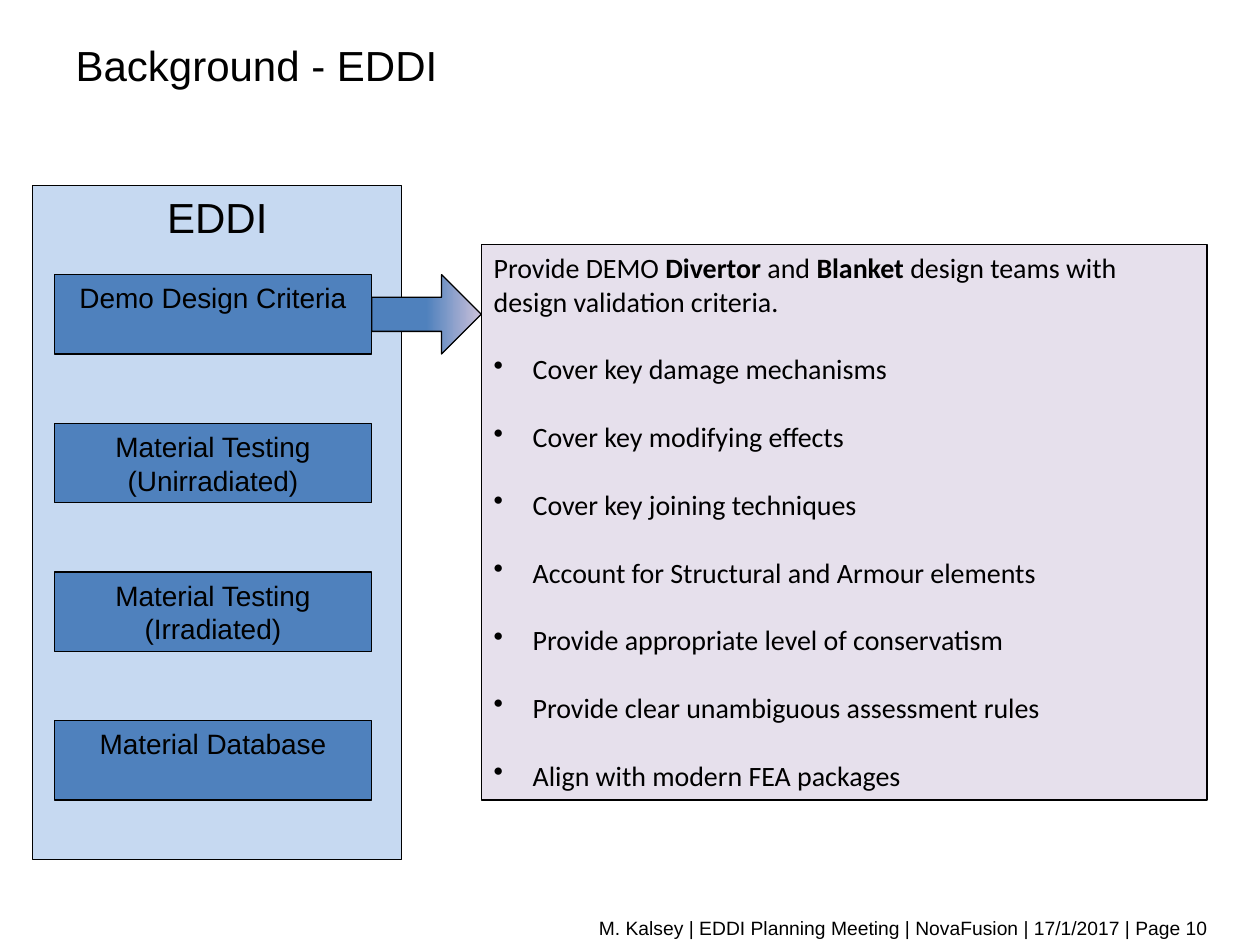
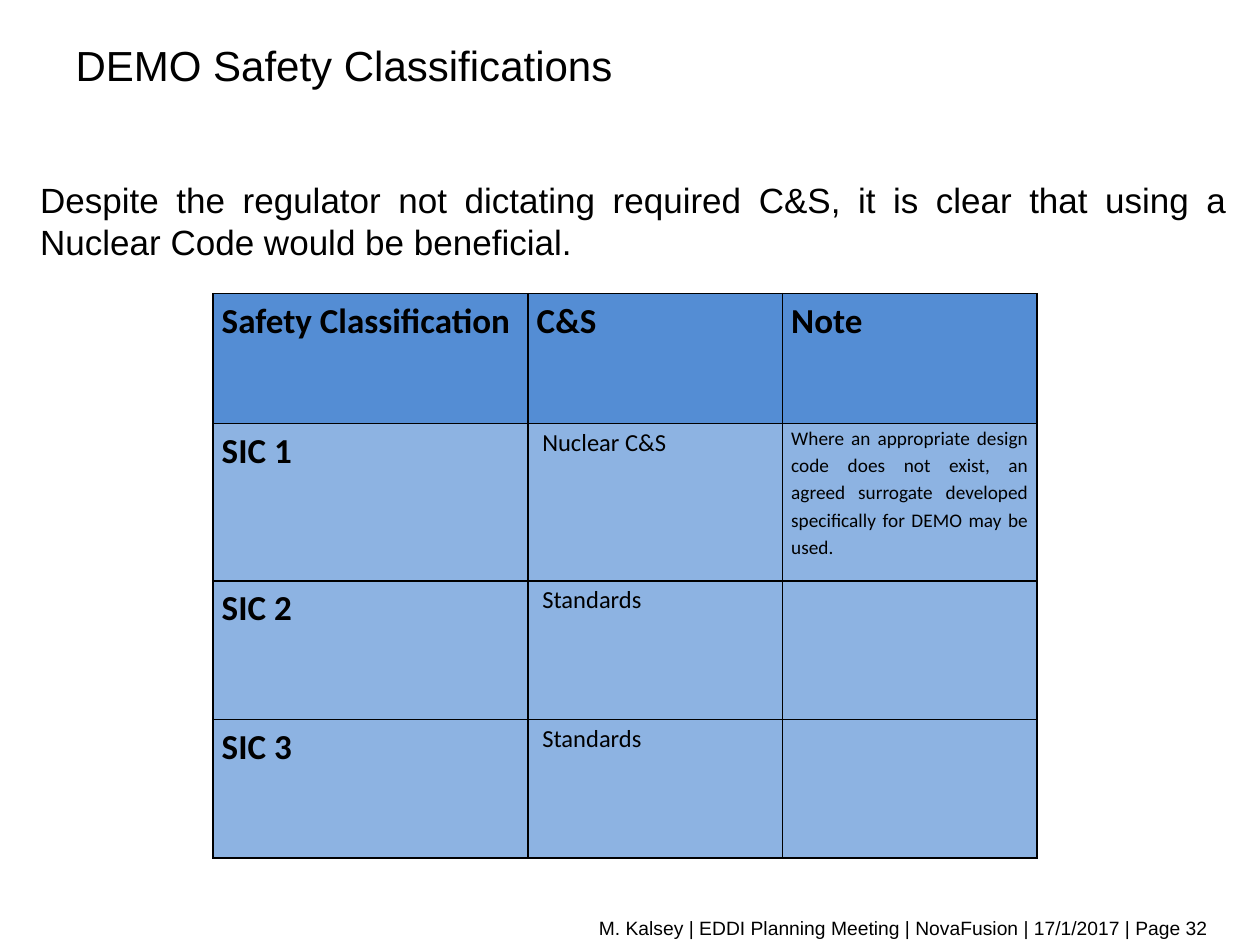
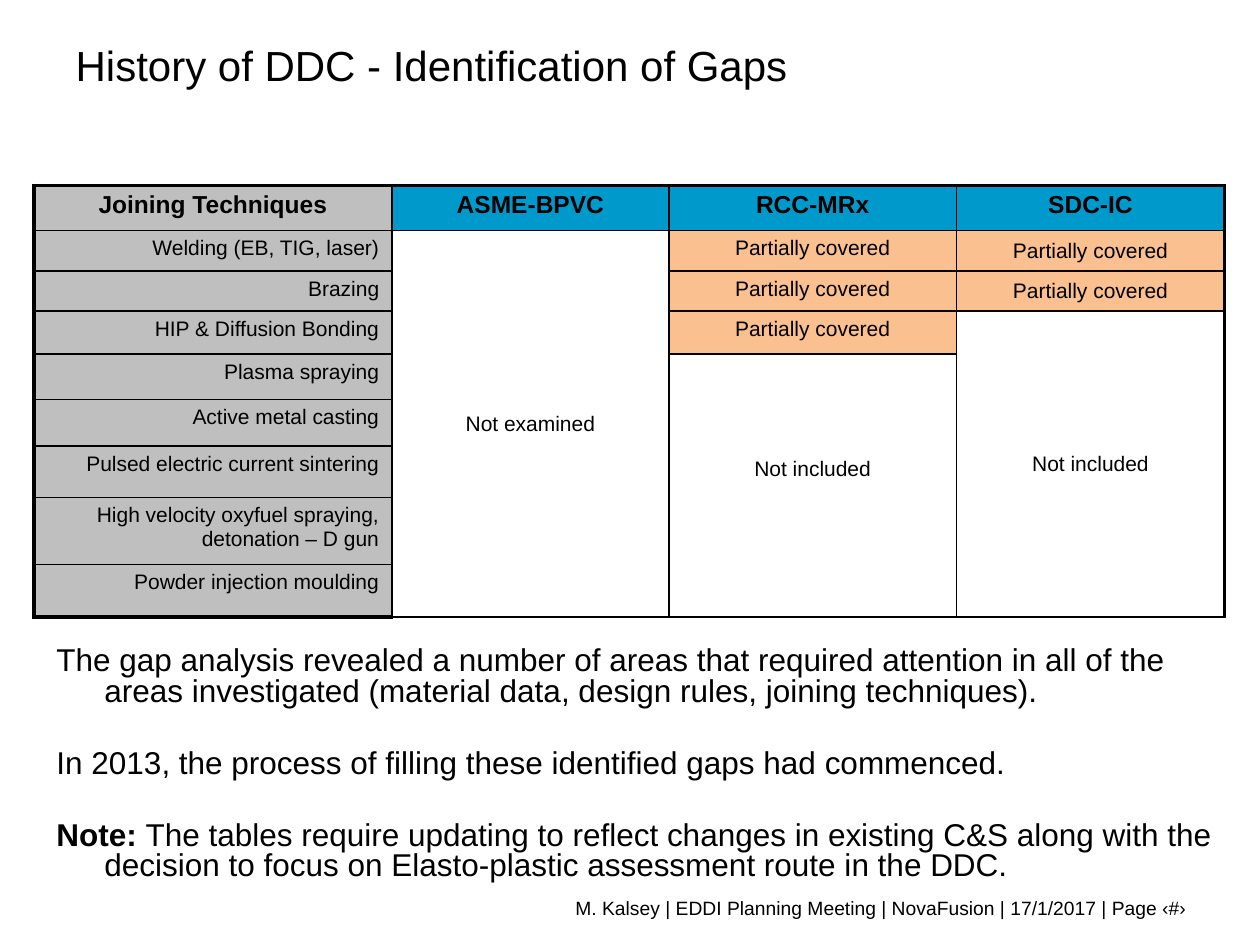
from lxml import etree
from pptx import Presentation
from pptx.dml.color import RGBColor
from pptx.enum.shapes import MSO_SHAPE
from pptx.enum.text import MSO_ANCHOR, MSO_AUTO_SIZE, PP_ALIGN
from pptx.oxml.ns import qn
from pptx.util import Inches, Pt

LEFT, CENTER, RIGHT, JUSTIFY = PP_ALIGN.LEFT, PP_ALIGN.CENTER, PP_ALIGN.RIGHT, PP_ALIGN.JUSTIFY
TOP, MIDDLE = MSO_ANCHOR.TOP, MSO_ANCHOR.MIDDLE
RECT, ARROW = MSO_SHAPE.RECTANGLE, MSO_SHAPE.RIGHT_ARROW
NO_AUTOFIT = MSO_AUTO_SIZE.NONE

BLACK = "000000"
PALE_BLUE, BLUE, LILAC, LAVENDER = "C6D9F1", "4F81BD", "E6E0EC", "CCC1DA"
HEAD_BLUE, ROW_BLUE = "548DD4", "8DB3E2"
GREY, TEAL, PEACH = "BFBFBF", "0099CC", "FAC090"
FOOTER = "M. Kalsey | EDDI Planning Meeting | NovaFusion | 17/1/2017 | Page "
TITLE_ONLY = 5


def rgb(color):
    return RGBColor.from_string(color)


def sub(parent, tag, **attrs):
    return etree.SubElement(parent, qn(tag), **attrs)


def write(p, text, size, font="Arial", align=LEFT, bold=False, before=None, spacing=None):
    """Fill a paragraph; text between ** marks is bold."""
    p.alignment = align
    p.font.name, p.font.size = font, Pt(size)
    p.font.color.rgb = rgb(BLACK)
    if before is not None:
        p.space_before = Pt(before)
    if spacing:
        p.line_spacing = spacing
    for i, part in enumerate(text.split("**")):
        if part:
            r = p.add_run()
            r.text = part
            r.font.bold = bold or i % 2 == 1


def hang(p, indent, bullet=None):
    pPr = p._p.get_or_add_pPr()
    pPr.set("marL", str(Inches(indent)))
    pPr.set("indent", str(-Inches(indent)))
    if bullet:
        mark = etree.Element(qn("a:buChar"), char=bullet)
        pPr.insert_element_before(mark, "a:tabLst", "a:defRPr", "a:extLst")


def fill_cell(cell, color, alpha=None):
    if not color:
        cell.fill.background()
        return
    cell.fill.solid()
    cell.fill.fore_color.rgb = rgb(color)
    if alpha:
        clr = cell._tc.tcPr.find(".//" + qn("a:srgbClr"))
        sub(clr, "a:alpha", val=str(alpha * 1000))


def border_cell(cell, widths):
    """Draw the left, right, top and bottom borders, with widths in points."""
    tcPr = cell._tc.get_or_add_tcPr()
    for i, (side, width) in enumerate(zip("LRTB", widths)):
        ln = etree.Element(qn("a:ln" + side), w=str(Pt(width)))
        sub(sub(ln, "a:solidFill"), "a:srgbClr", val=BLACK)
        tcPr.insert(i, ln)


class Deck:
    def __init__(self):
        self.prs = Presentation()
        self.prs.slide_width, self.prs.slide_height = Inches(10), Inches(7.5)
        self.s = None

    def slide(self, title, page, footer_at=(0.68, 7.22)):
        self.s = self.prs.slides.add_slide(self.prs.slide_layouts[TITLE_ONLY])
        sp = self.s.shapes.title
        sp.left, sp.top, sp.width, sp.height = map(Inches, (0.5, 0.03, 8.12, 0.97))
        tf = sp.text_frame
        tf.auto_size, tf.vertical_anchor = NO_AUTOFIT, MIDDLE
        write(tf.paragraphs[0], title, 24)
        tf = self.text(*footer_at, 9.01, 0.29)
        tf.vertical_anchor = MIDDLE
        write(tf.paragraphs[0], FOOTER + page, 11, align=RIGHT)

    def text(self, x, y, w, h):
        tf = self.s.shapes.add_textbox(*map(Inches, (x, y, w, h))).text_frame
        tf.word_wrap = True
        return tf

    def shape(self, kind, x, y, w, h, color=None):
        sp = self.s.shapes.add_shape(kind, *map(Inches, (x, y, w, h)))
        sp.shadow.inherit = False
        if color:
            sp.fill.solid()
            sp.fill.fore_color.rgb = rgb(color)
        sp.line.color.rgb = rgb(BLACK)
        sp.line.width = Pt(0.75)
        sp.text_frame.vertical_anchor = TOP
        return sp

    def box(self, x, y, w, h, color, label, size):
        sp = self.shape(RECT, x, y, w, h, color)
        write(sp.text_frame.paragraphs[0], label, size, align=CENTER)

    def table(self, x, y, cols, rows, outer=1, first_rule=1):
        """Add a bordered table; first_rule is the line after the first column."""
        frame = self.s.shapes.add_table(len(rows), len(cols), *map(Inches, (x, y, sum(cols), sum(rows))))
        tbl = frame.table
        tbl.first_row = tbl.horz_banding = False
        for col, width in zip(tbl.columns, cols):
            col.width = Inches(width)
        for row, height in zip(tbl.rows, rows):
            row.height = Inches(height)
        verticals = [outer, first_rule] + [1] * (len(cols) - 2) + [outer]
        horizontals = [outer] + [1] * (len(rows) - 1) + [outer]
        for r in range(len(rows)):
            for c in range(len(cols)):
                cell = tbl.cell(r, c)
                fill_cell(cell, None)
                border_cell(cell, verticals[c:c + 2] + horizontals[r:r + 2])
        return tbl


def background(deck):
    deck.slide("Background - EDDI", "10")
    deck.box(0.26, 1.47, 2.93, 5.35, PALE_BLUE, "EDDI", 24)
    activities = ["Demo Design Criteria", "Material Testing (Unirradiated)",
                  "Material Testing (Irradiated)", "Material Database"]
    for i, activity in enumerate(activities):
        deck.box(0.43, 2.18 + 1.18 * i, 2.52, 0.63, BLUE, activity, 16)

    tf = deck.shape(RECT, 3.82, 1.94, 5.76, 4.41, LILAC).text_frame
    write(tf.paragraphs[0], "Provide DEMO **Divertor** and **Blanket** design teams with "
          "design validation criteria.", 16, "Calibri")
    goals = ["Cover key damage mechanisms", "Cover key modifying effects",
             "Cover key joining techniques", "Account for Structural and Armour elements",
             "Provide appropriate level of conservatism",
             "Provide clear unambiguous assessment rules", "Align with modern FEA packages"]
    for goal in goals:
        p = tf.add_paragraph()
        write(p, goal, 16, "Calibri", before=19.5)
        hang(p, 0.31, "•")

    arrow = deck.shape(ARROW, 2.95, 2.18, 0.87, 0.63)
    arrow.adjustments[0], arrow.adjustments[1] = 0.43, 0.5
    arrow.fill.gradient()
    arrow.fill.gradient_angle = 0
    for stop, color, position in zip(arrow.fill.gradient_stops, (BLUE, LAVENDER), (0.5, 1)):
        stop.color.rgb = rgb(color)
        stop.position = position


def safety_classes(deck):
    deck.slide("DEMO Safety Classifications", "32")
    rows = [("Safety Classification", "C&S", "Note"),
            ("SIC 1", "\u00a0Nuclear C&S", "Where an appropriate design code does not exist, an agreed "
             "surrogate developed specifically for DEMO may be used."),
            ("SIC 2", "\u00a0Standards", ""),
            ("SIC 3", "\u00a0Standards", "")]
    tbl = deck.table(1.69, 2.33, [2.5, 2.02, 2.02], [1.03, 1.25, 1.1, 1.1], first_rule=1.5)
    for r, row in enumerate(rows):
        for c, value in enumerate(row):
            cell = tbl.cell(r, c)
            fill_cell(cell, ROW_BLUE if r else HEAD_BLUE)
            cell.margin_left = cell.margin_right = Inches(0.07)
            cell.margin_top = cell.margin_bottom = 0
            size = (20, 14, 11)[c] if r else 20
            write(cell.text_frame.paragraphs[0], value, size, "Calibri", JUSTIFY,
                  bold=size == 20, spacing=1.15)
    tf = deck.text(0.22, 1.37, 9.62, 0.85)
    write(tf.paragraphs[0], "Despite the regulator not dictating required C&S, it is clear that "
          "using a Nuclear Code would be beneficial.", 20, align=JUSTIFY, before=4)


def gaps(deck):
    deck.slide("History of DDC - Identification of Gaps", "‹#›", (0.51, 7.06))
    tbl = deck.table(0.27, 1.47, [2.84, 2.2, 2.28, 2.13],
                     [0.36, 0.32, 0.32, 0.34, 0.36, 0.37, 0.41, 0.53, 0.42], outer=2.25)
    last = len(tbl.rows) - 1

    def put(r, c, value, size=12, align=CENTER, anchor=TOP, color=None, alpha=None):
        cell = tbl.cell(r, c)
        cell.vertical_anchor = anchor
        fill_cell(cell, color, alpha)
        write(cell.text_frame.paragraphs[0], value, size, align=align, bold=r == 0)
        return cell

    put(0, 0, "Joining Techniques", 14, color=GREY)
    for c, code in enumerate(["ASME-BPVC", "RCC-MRx", "SDC-IC"], 1):
        put(0, c, code, 14, color=TEAL, alpha=50)
    techniques = ["Welding (EB, TIG, laser)", "Brazing", "HIP & Diffusion Bonding",
                  "Plasma spraying", "Active metal casting", "Pulsed electric current sintering",
                  "High velocity oxyfuel spraying, detonation – D gun", "Powder injection moulding"]
    for r, technique in enumerate(techniques, 1):
        put(r, 0, technique, align=RIGHT, color=GREY)
    for c, covered, anchor in [(2, 3, TOP), (3, 2, MIDDLE)]:
        for r in range(1, covered + 1):
            put(r, c, "Partially covered", anchor=anchor, color=PEACH, alpha=50)
    for r, c, verdict, anchor in [(1, 1, "Not examined", MIDDLE), (4, 2, "Not included", TOP),
                                  (3, 3, "Not included", MIDDLE)]:
        tbl.cell(r, c).merge(tbl.cell(last, c))
        cell = put(r, c, verdict, anchor=anchor)
        if anchor == TOP:
            cell.margin_top = Inches(0.82)

    tf = deck.text(0.35, 5.09, 9.37, 1.95)
    remarks = ["The gap analysis revealed a number of areas that required attention in all of the "
               "areas investigated (material data, design rules, joining techniques).",
               "In 2013, the process of filling these identified gaps had commenced.",
               "**Note: **The tables require updating to reflect changes in existing C&S along with "
               "the decision to focus on Elasto-plastic assessment route in the DDC."]
    for i, remark in enumerate(remarks):
        p = tf.add_paragraph() if i else tf.paragraphs[0]
        write(p, remark, 18, before=24 if i else 3.6, spacing=0.8)
        hang(p, 0.38)


def main():
    deck = Deck()
    background(deck)
    safety_classes(deck)
    gaps(deck)
    deck.prs.save("out.pptx")


if __name__ == "__main__":
    main()
